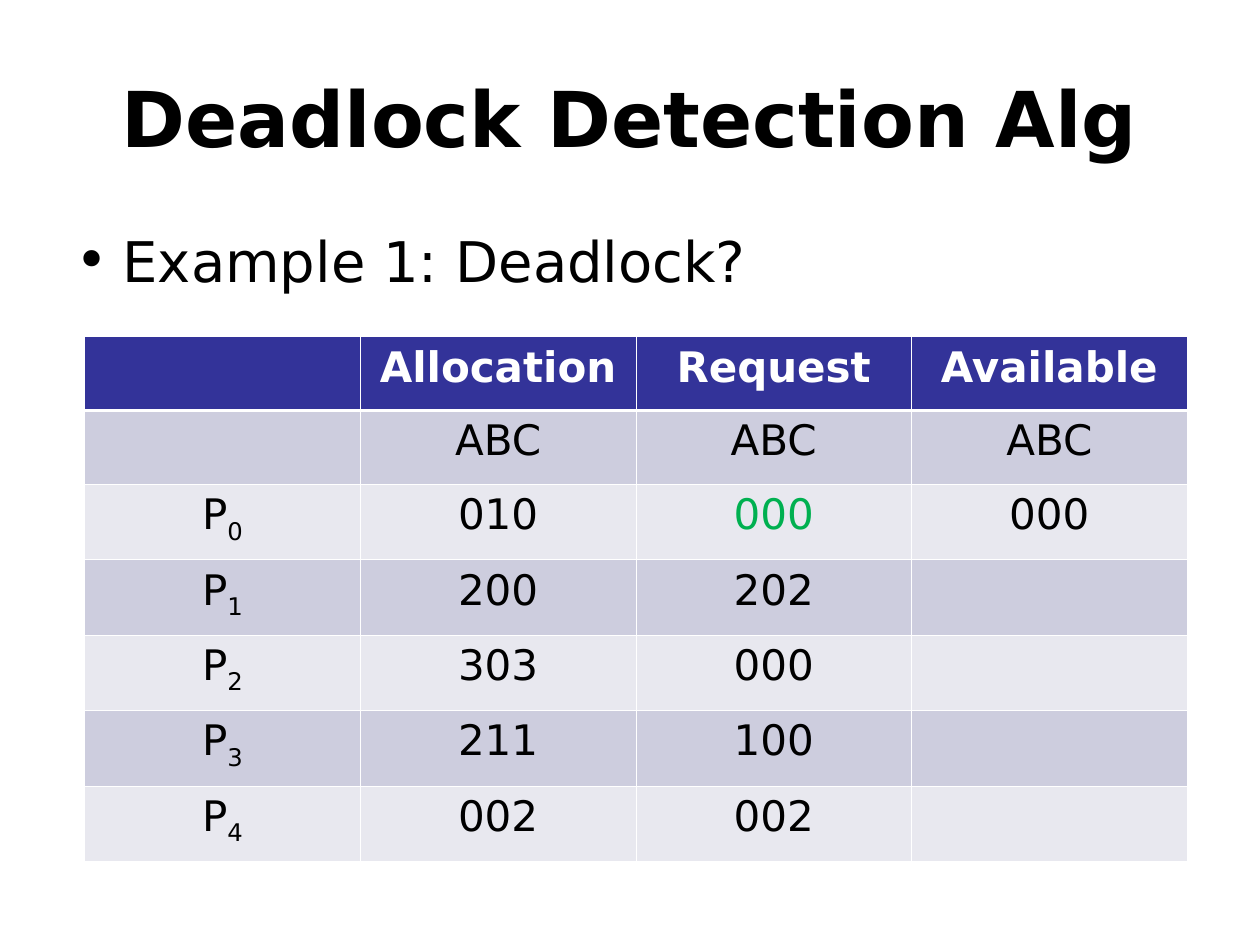
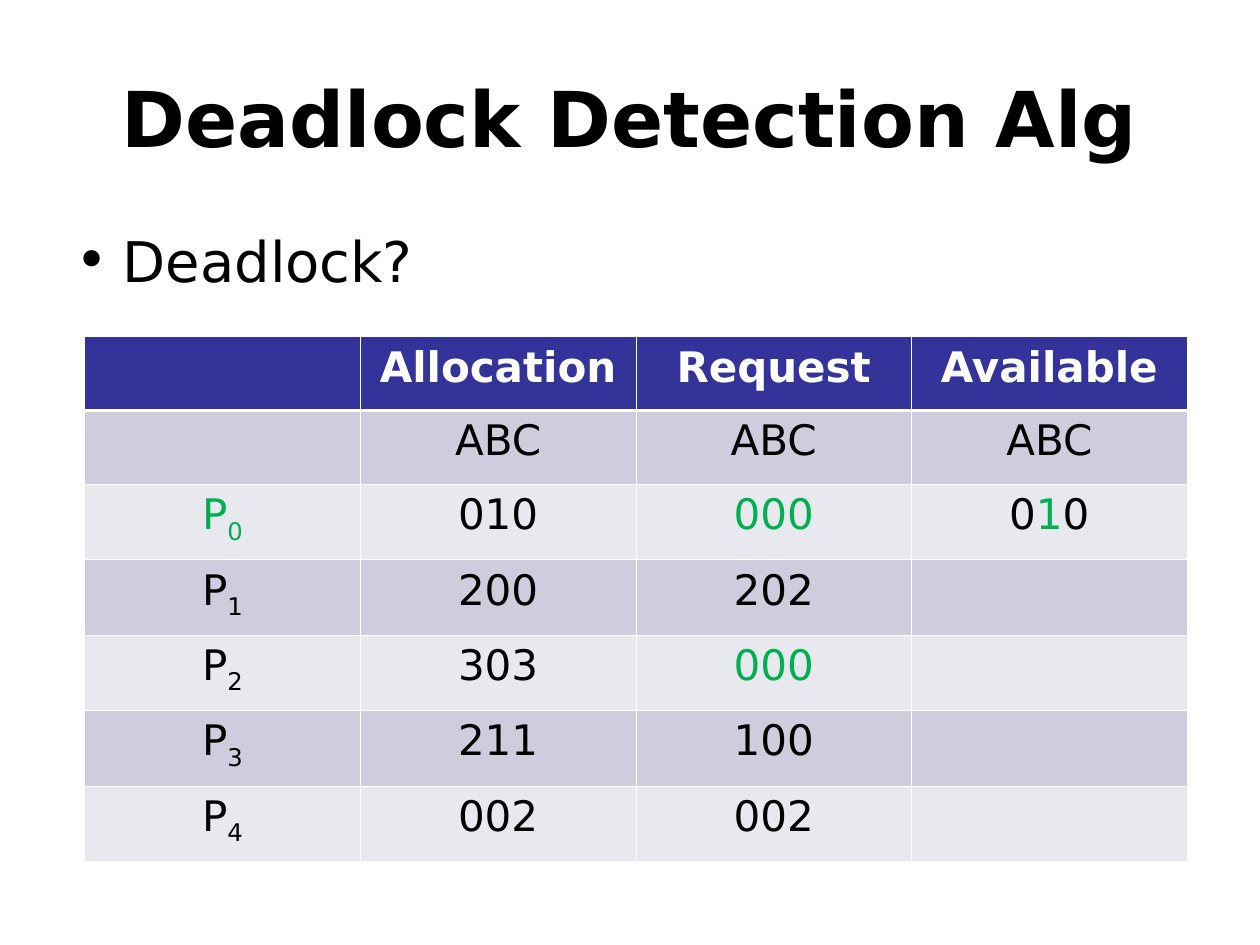
"""Build two slides on the deadlock detection algorithm."""
from lxml.etree import SubElement
from pptx import Presentation
from pptx.dml.color import RGBColor
from pptx.enum.text import MSO_ANCHOR, MSO_AUTO_SIZE, PP_ALIGN
from pptx.oxml.ns import qn
from pptx.util import Pt

FONT = "DejaVu Sans"
HUES = {"ink": "000000", "paper": "FFFFFF", "head": "333399",
        "dark": "CDCDDE", "light": "E8E8EF", "green": "00B050"}
HEAD = [["", "Allocation", "Request", "Available"],
        ["", "ABC", "ABC", "ABC"]]
TASKS = [("010", "000"), ("200", "202"), ("303", "000"),
         ("211", "100"), ("002", "002")]
# "|" in a cell parts its runs; green lists (row, column, run).
SLIDES = [
    ("Example 1: Deadlock?", "000", {(2, 2, 0)}),
    ("Deadlock?", "0|1|0",
     {(2, 0, 0), (2, 0, 1), (2, 2, 0), (2, 3, 1), (4, 2, 0)}),
]


def style(run, size, hue="ink", bold=False):
    run.font.name = FONT
    run.font.size = Pt(size)
    run.font.bold = bold
    run.font.color.rgb = RGBColor.from_string(HUES[hue])


def edge(cell, side, width):
    line = SubElement(cell._tc.get_or_add_tcPr(), qn("a:ln" + side),
                      w=str(Pt(width)))
    fill = SubElement(line, qn("a:solidFill"))
    SubElement(fill, qn("a:srgbClr"), val=HUES["paper"])


deck = Presentation()
deck.slide_width, deck.slide_height = Pt(720), Pt(540)

for prompt, free, green in SLIDES:
    slide = deck.slides.add_slide(deck.slide_layouts[5])
    title = slide.shapes.title
    title.left, title.top, title.width, title.height = Pt(0), Pt(21.6), Pt(720), Pt(90)
    frame = title.text_frame
    frame.text = "Deadlock Detection Alg"
    frame.auto_size = MSO_AUTO_SIZE.NONE
    frame.vertical_anchor = MSO_ANCHOR.MIDDLE
    frame.paragraphs[0].alignment = PP_ALIGN.CENTER
    style(frame.paragraphs[0].runs[0], 44, bold=True)

    body = slide.shapes.add_textbox(Pt(36), Pt(126), Pt(684), Pt(414))
    body.text_frame.word_wrap = True
    para = body.text_frame.paragraphs[0]
    para.text = prompt
    para.space_before = Pt(8)
    style(para.runs[0], 32)
    props = para._p.get_or_add_pPr()
    props.set("marL", str(Pt(27)))
    props.set("indent", str(Pt(-27)))
    SubElement(props, qn("a:buFont"), typeface=FONT)
    SubElement(props, qn("a:buChar"), char="•")

    rows = HEAD + [[f"P|{n}", held, need, "" if n else free]
                   for n, (held, need) in enumerate(TASKS)]
    table = slide.shapes.add_table(len(rows), 4, Pt(48.4), Pt(192.4),
                                   Pt(630), Pt(300)).table
    table.first_row = table.horz_banding = False
    for col in table.columns:
        col.width = Pt(157.5)
    for r, row in enumerate(rows):
        table.rows[r].height = Pt(42.2 if r < 2 else 43.1)
        for c, text in enumerate(row):
            cell = table.cell(r, c)
            for side in "LRTB":
                thick = (r, side) in {(0, "B"), (1, "T")}
                edge(cell, side, 1.47 if thick else 0.45)
            cell.fill.solid()
            band = "head" if r == 0 else "dark" if r % 2 else "light"
            cell.fill.fore_color.rgb = RGBColor.from_string(HUES[band])
            para = cell.text_frame.paragraphs[0]
            para.alignment = PP_ALIGN.CENTER
            for k, part in enumerate(text.split("|") if text else []):
                run = para.add_run()
                run.text = part
                hue = "paper" if r == 0 else "green" if (r, c, k) in green else "ink"
                style(run, 24, hue, bold=r == 0)
                if c == 0 and k == 1:
                    run.font._element.set("baseline", "-25000")

deck.save("out.pptx")
